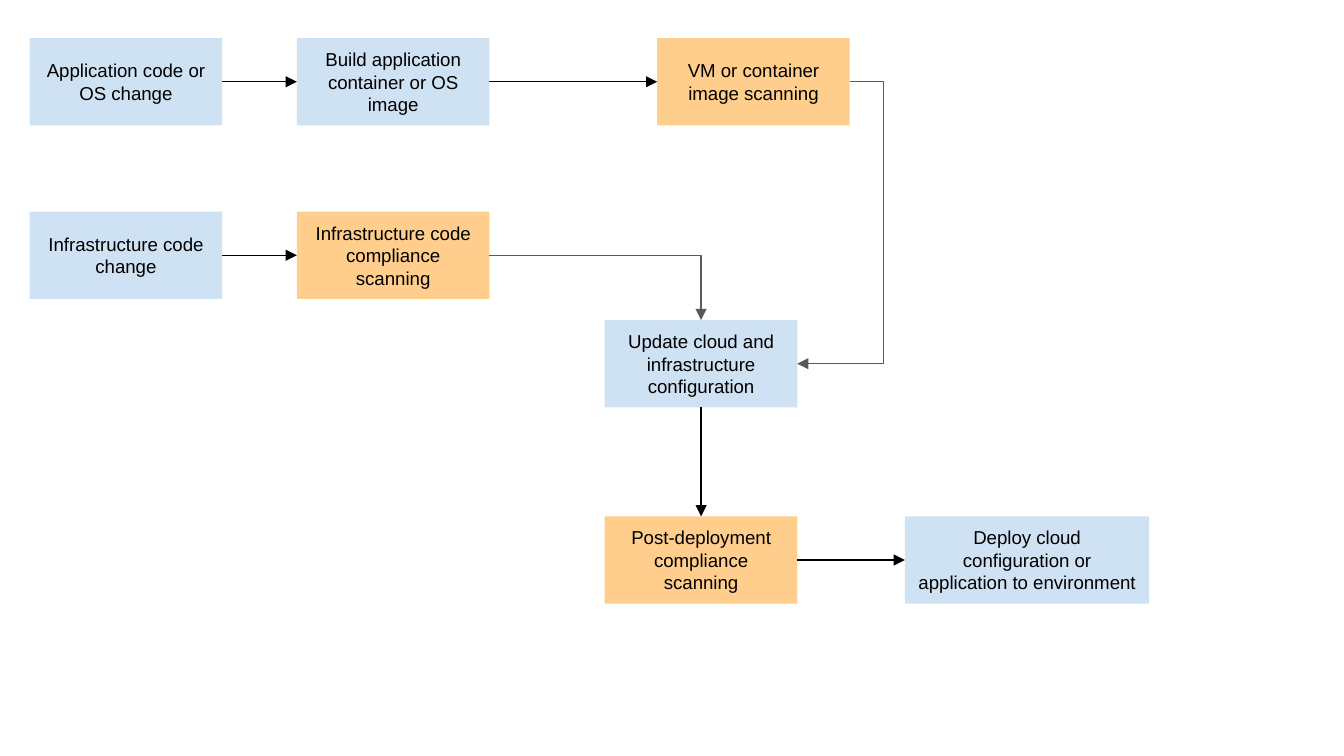
from lxml.etree import SubElement as Sub
from pptx import Presentation
from pptx.dml.color import RGBColor
from pptx.enum.shapes import MSO_CONNECTOR as Link, MSO_SHAPE as Shape
from pptx.enum.text import MSO_ANCHOR as Anchor, PP_ALIGN as Align
from pptx.oxml.ns import qn
from pptx.util import Cm, Pt

BLUE, ORANGE = "CFE2F3", "FFCD8C"
BLACK, GREY = "000000", "595959"
WIDE, HIGH = 3.64, 1.65
COLS = {"start": 0.56, "build": 5.61, "update": 11.43, "scan": 12.42, "deploy": 17.1}
ROWS = {"code": 0.72, "infra": 4, "update": 6.05, "deploy": 9.76}
TOP, LEFT, BOTTOM, RIGHT = range(4)


def color(target, code):
    """Set a solid colour on a fill, font or line colour."""
    target.rgb = RGBColor.from_string(code)


def write(frame, text, size=10, font="Arial", ink=BLACK, align=Align.CENTER):
    """Put formatted text in a frame."""
    frame.word_wrap = True
    frame.vertical_anchor = Anchor.MIDDLE
    frame.margin_left = frame.margin_right = Cm(0.25)
    frame.margin_top = frame.margin_bottom = Cm(0.25)
    para = frame.paragraphs[0]
    para.alignment = align
    run = para.add_run()
    run.text = text
    run.font.size = Pt(size)
    run.font.name = font
    color(run.font.color, ink)


def box(slide, col, row, text, fill=BLUE, wide=WIDE):
    """Add a step of the flow."""
    step = slide.shapes.add_shape(
        Shape.RECTANGLE, Cm(COLS[col]), Cm(ROWS[row]), Cm(wide), Cm(HIGH))
    step.shadow.inherit = False
    step.fill.solid()
    color(step.fill.fore_color, fill)
    step.line.fill.background()
    write(step.text_frame, text)
    return step


def arrow(slide, start, end, out=RIGHT, into=LEFT, ink=BLACK, kind=Link.STRAIGHT):
    """Join two steps with an arrow."""
    line = slide.shapes.add_connector(kind, 0, 0, 0, 0)
    line.begin_connect(start, out)
    line.end_connect(end, into)
    line.line.width = Pt(0.75)
    color(line.line.color, ink)
    Sub(line.line._get_or_add_ln(), qn("a:tailEnd"), type="triangle")
    Sub(line._element.spPr, qn("a:effectLst"))
    return line


def bend(slide, start, end, into, preset, adj=None):
    """Join two steps with a bent grey arrow."""
    line = arrow(slide, start, end, into=into, ink=GREY, kind=Link.ELBOW)
    geom = line._element.spPr.find(qn("a:prstGeom"))
    geom.set("prst", preset)
    if adj is not None:
        Sub(geom.find(qn("a:avLst")), qn("a:gd"), name="adj1", fmla=f"val {adj}")


def main():
    """Build the flow chart slide."""
    deck = Presentation()
    deck.slide_width, deck.slide_height = Cm(25.4), Cm(14.29)
    slide = deck.slides.add_slide(deck.slide_layouts[6])

    code = box(slide, "start", "code", "Application code or OS change")
    build = box(slide, "build", "code", "Build application container or OS image")
    scan = box(slide, "scan", "code", "VM or container image scanning", ORANGE)
    infra = box(slide, "start", "infra", "Infrastructure code change")
    check = box(slide, "build", "infra", "Infrastructure code compliance scanning", ORANGE)
    update = box(slide, "update", "update", "Update cloud and infrastructure configuration")
    post = box(slide, "update", "deploy", "Post-deployment compliance scanning", ORANGE)
    deploy = box(slide, "deploy", "deploy",
                 "Deploy cloud configuration or application to environment", wide=4.62)

    for start, end in ((code, build), (build, scan), (infra, check), (post, deploy)):
        arrow(slide, start, end)
    arrow(slide, update, post, BOTTOM, TOP)
    bend(slide, check, update, TOP, "bentConnector2")
    bend(slide, scan, update, RIGHT, "bentConnector3", -65000)

    deck.save("out.pptx")


if __name__ == "__main__":
    main()
